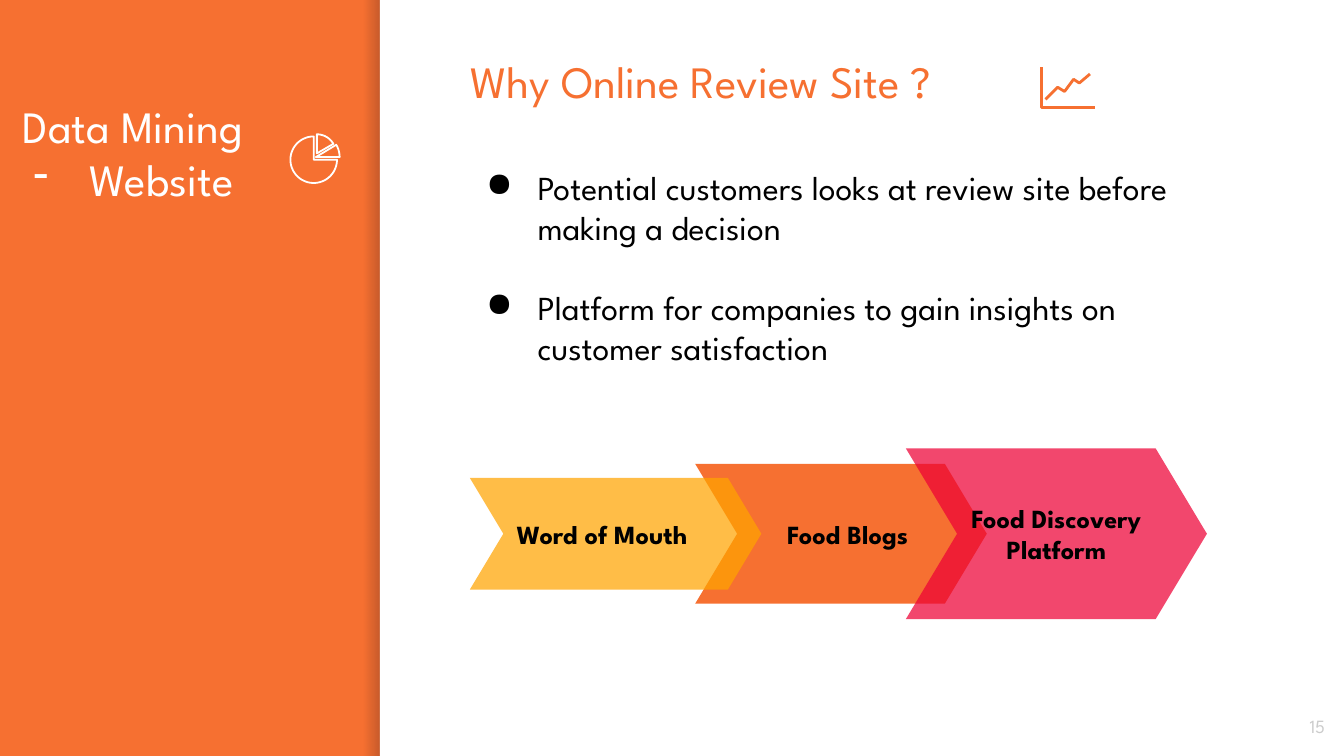
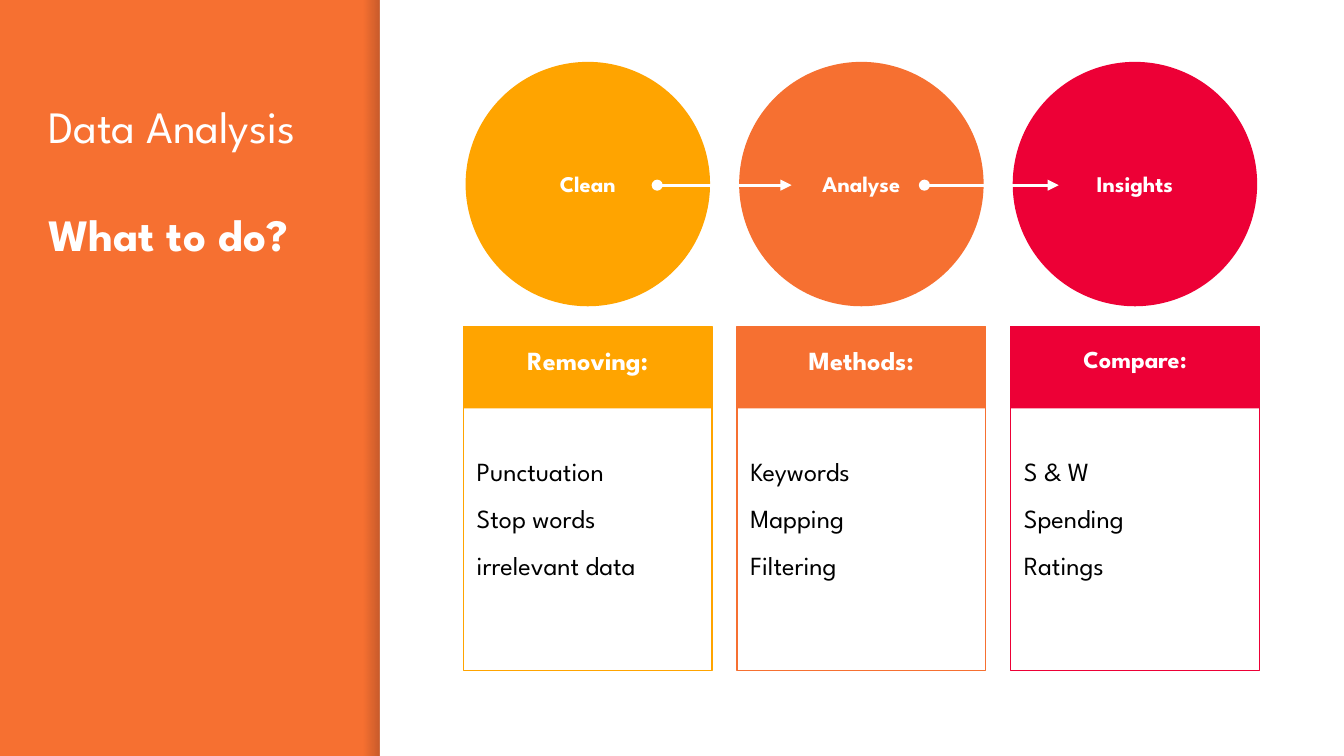
import math

from lxml import etree
from pptx import Presentation
from pptx.dml.color import RGBColor
from pptx.enum.shapes import MSO_CONNECTOR, MSO_SHAPE
from pptx.enum.text import MSO_ANCHOR, PP_ALIGN
from pptx.oxml.ns import qn
from pptx.util import Cm, Pt

RECTANGLE, OVAL, CHEVRON = MSO_SHAPE.RECTANGLE, MSO_SHAPE.OVAL, MSO_SHAPE.CHEVRON
STRAIGHT = MSO_CONNECTOR.STRAIGHT
LEFT, CENTER, RIGHT = PP_ALIGN.LEFT, PP_ALIGN.CENTER, PP_ALIGN.RIGHT
TOP, MIDDLE = MSO_ANCHOR.TOP, MSO_ANCHOR.MIDDLE

FONT = "League Spartan"
COLORS = {
    "orange": "F67031", "amber": "FFA400", "red": "ED0036", "white": "FFFFFF",
    "black": "000000", "grey": "CCCCCC", "shade": "000014",
}
WIDTH, HEIGHT = 25.4, 14.29
PANEL_LEFT, SHADE_WIDTH = 7.18, 0.31
INSET = 0.25

# Paragraphs are dicts: text, plus optional bullet, indent (cm), before (pt), bold.
MINING_TITLE = [{"text": "Data Mining"},
                {"text": "Website", "bullet": "-", "indent": 1.07}]
ANALYSIS_TITLE = [{"text": "Data Analysis"},
                  {"text": "What to do?", "before": 29, "bold": True}]
WHY_TITLE = "Why Online Review Site ?"
REASONS = [
    {"text": "Potential customers looks at review site before making a decision",
     "bullet": "●", "indent": 0.97},
    {"text": "Platform for companies to gain insights on customer satisfaction",
     "bullet": "●", "indent": 0.97, "before": 21},
]
PAGE_NUMBER = "15"

# Back to front: text, left, width, height, colour, opacity, alignment, left inset
CHEVRON_MIDDLE = 10.09
CHANNELS = [
    ("Food Blogs", 13.14, 5.51, 2.64, "orange", 100, CENTER, 0.5),
    ("Food Discovery Platform", 17.12, 5.69, 3.23, "red", 72, CENTER, INSET),
    ("Word of Mouth", 8.88, 5.51, 2.11, "amber", 72, LEFT, INSET),
]

# Step, colour, card heading, heading size, card items
STEPS = [
    ("Clean", "amber", "Removing:", 14, ["Punctuation", "Stop words", "irrelevant data"]),
    ("Analyse", "orange", "Methods:", 14, ["Keywords", "Mapping", "Filtering"]),
    ("Insights", "red", "Compare:", 13, ["S & W", "Spending", "Ratings"]),
]

CHART_ICON = [
    [(19.69, 1.27), (19.69, 2.03), (20.7, 2.03)],
    [(19.76, 1.88), (19.99, 1.65), (20.12, 1.73), (20.29, 1.5), (20.4, 1.57), (20.6, 1.4)],
]
# Centre x, centre y, radius, start and end angle clockwise from the right
PIE_ICON = [
    (5.93, 3.02, 0.44, 0, 270),
    (5.99, 2.9, 0.36, 270, 330),
    (5.97, 2.97, 0.45, 329, 360),
]


def rgb(name):
    return RGBColor.from_string(COLORS[name])


def set_alpha(color_parent, percent):
    for color in color_parent.iter(qn("a:srgbClr")):
        etree.SubElement(color, qn("a:alpha"), val=str(percent * 1000))


def set_bullet(paragraph, character, color, hanging):
    properties = paragraph._p.get_or_add_pPr()
    properties.set("marL", str(Cm(1.27)))
    properties.set("indent", str(-Cm(hanging)))
    bullet_color = etree.SubElement(properties, qn("a:buClr"))
    etree.SubElement(bullet_color, qn("a:srgbClr"), val=COLORS[color])
    etree.SubElement(properties, qn("a:buChar"), char=character)


def write(shape, paragraphs, size, color, bold=False, align=LEFT, anchor=TOP,
          left=INSET, top=INSET, spacing=None):
    frame = shape.text_frame
    frame.word_wrap = True
    frame.vertical_anchor = anchor
    frame.margin_left, frame.margin_top = Cm(left), Cm(top)
    frame.margin_right = frame.margin_bottom = Cm(INSET)
    for index, item in enumerate(paragraphs):
        paragraph = frame.add_paragraph() if index else frame.paragraphs[0]
        paragraph.text = item["text"]
        if "bullet" in item:
            set_bullet(paragraph, item["bullet"], color, item["indent"])
        paragraph.alignment = align
        if spacing:
            paragraph.line_spacing = spacing
        if "before" in item:
            paragraph.space_before = Pt(item["before"])
        font = paragraph.font
        font.name, font.size = FONT, Pt(size)
        font.bold = item.get("bold", bold)
        font.color.rgb = rgb(color)


def add_text(slide, box, paragraphs, size, color, **style):
    write(slide.shapes.add_textbox(*map(Cm, box)), paragraphs, size, color, **style)


def add_block(slide, kind, box, fill=None, line=None):
    shape = slide.shapes.add_shape(kind, *map(Cm, box))
    paint(shape, fill, line, 0.75)
    return shape


def paint(shape, fill, line, line_width):
    shape.shadow.inherit = False
    if fill:
        shape.fill.solid()
        shape.fill.fore_color.rgb = rgb(fill)
    else:
        shape.fill.background()
    if line:
        shape.line.color.rgb = rgb(line)
        shape.line.width = Pt(line_width)
    else:
        shape.line.fill.background()


def add_outline(slide, points, color, line_width, close):
    points = [(Cm(x), Cm(y)) for x, y in points]
    builder = slide.shapes.build_freeform(*points[0])
    builder.add_line_segments(points[1:], close=close)
    paint(builder.convert_to_shape(), None, color, line_width)


def add_pie_slice(slide, x, y, radius, start, end):
    steps = (end - start) // 5
    angles = [math.radians(start + (end - start) * i / steps) for i in range(steps + 1)]
    arc = [(x + radius * math.cos(a), y + radius * math.sin(a)) for a in angles]
    add_outline(slide, [(x, y)] + arc, "white", 0.96, close=True)


def add_arrow(slide, start, end, y):
    arrow = slide.shapes.add_connector(STRAIGHT, Cm(start), Cm(y), Cm(end), Cm(y))
    arrow.line.color.rgb = rgb("white")
    arrow.line.width = Pt(1.5)
    line = arrow.line._get_or_add_ln()
    etree.SubElement(line, qn("a:headEnd"), type="oval")
    etree.SubElement(line, qn("a:tailEnd"), type="triangle")
    etree.SubElement(arrow._element.spPr, qn("a:effectLst"))


def add_base(presentation, title, title_left):
    """Add a slide with the orange sidebar, its shaded edge, the panel and the title."""
    slide = presentation.slides.add_slide(presentation.slide_layouts[6])
    slide.background.fill.solid()
    slide.background.fill.fore_color.rgb = rgb("orange")
    shade = add_block(slide, RECTANGLE,
                      (PANEL_LEFT - SHADE_WIDTH, 0, SHADE_WIDTH, HEIGHT))
    shade.fill.gradient()
    shade.fill.gradient_angle = 0
    for stop, opacity in zip(shade.fill.gradient_stops, (0, 20)):
        stop.color.rgb = rgb("shade")
        set_alpha(stop._gs, opacity)
    add_block(slide, RECTANGLE, (PANEL_LEFT, 0, WIDTH - PANEL_LEFT, HEIGHT), "white")
    add_text(slide, (title_left, 1.61, 5.69, 11.05), title, 24, "white")
    return slide


def build_mining(presentation):
    slide = add_base(presentation, MINING_TITLE, 0.18)
    add_text(slide, (23.77, 13.18, 1.52, 1.09), [{"text": PAGE_NUMBER}], 10, "grey",
             align=RIGHT, anchor=MIDDLE)
    add_text(slide, (8.64, 0.76, 11.05, 1.78), [{"text": WHY_TITLE}], 24, "orange")
    for points in CHART_ICON:
        add_outline(slide, points, "orange", 1.5, close=False)
    for pie_slice in PIE_ICON:
        add_pie_slice(slide, *pie_slice)
    add_text(slide, (8.64, 2.9, 14.15, 4.52), REASONS, 18, "black")
    for text, left, width, height, color, opacity, align, inset in CHANNELS:
        box = (left, CHEVRON_MIDDLE - height / 2, width, height)
        chevron = add_block(slide, CHEVRON, box, color)
        chevron.adjustments[0] = 0.3
        if opacity < 100:
            set_alpha(chevron._element.spPr, opacity)
        write(chevron, [{"text": text}], 14, "black", bold=True, align=align,
              anchor=MIDDLE, left=inset)


def build_analysis(presentation):
    slide = add_base(presentation, ANALYSIS_TITLE, 0.66)
    first_left, pitch, card_width, card_top = 8.76, 5.17, 4.7, 6.17
    circle_top, diameter = 1.17, 4.62
    for index, (step, color, heading, size, items) in enumerate(STEPS):
        left = first_left + index * pitch
        circle_left = left + (card_width - diameter) / 2
        circle = add_block(slide, OVAL, (circle_left, circle_top, diameter, diameter), color)
        write(circle, [{"text": step}], 12, "white", bold=True, align=CENTER, anchor=MIDDLE)
        card = add_block(slide, RECTANGLE, (left, card_top, card_width, 6.5), line=color)
        lines = [{"text": item, "before": 6 if row else 0} for row, item in enumerate(items)]
        write(card, lines, 14, "black", top=2.35, spacing=1.15)
        header = add_block(slide, RECTANGLE, (left, card_top, card_width, 1.55), color)
        write(header, [{"text": heading}], size, "white", bold=True, align=CENTER,
              spacing=1.15)
    for index in range(len(STEPS) - 1):
        start = 12.42 + index * 5.05
        add_arrow(slide, start, start + 2.54, 3.5)


def main():
    presentation = Presentation()
    presentation.slide_width, presentation.slide_height = Cm(WIDTH), Cm(HEIGHT)
    build_mining(presentation)
    build_analysis(presentation)
    presentation.save("out.pptx")


if __name__ == "__main__":
    main()
